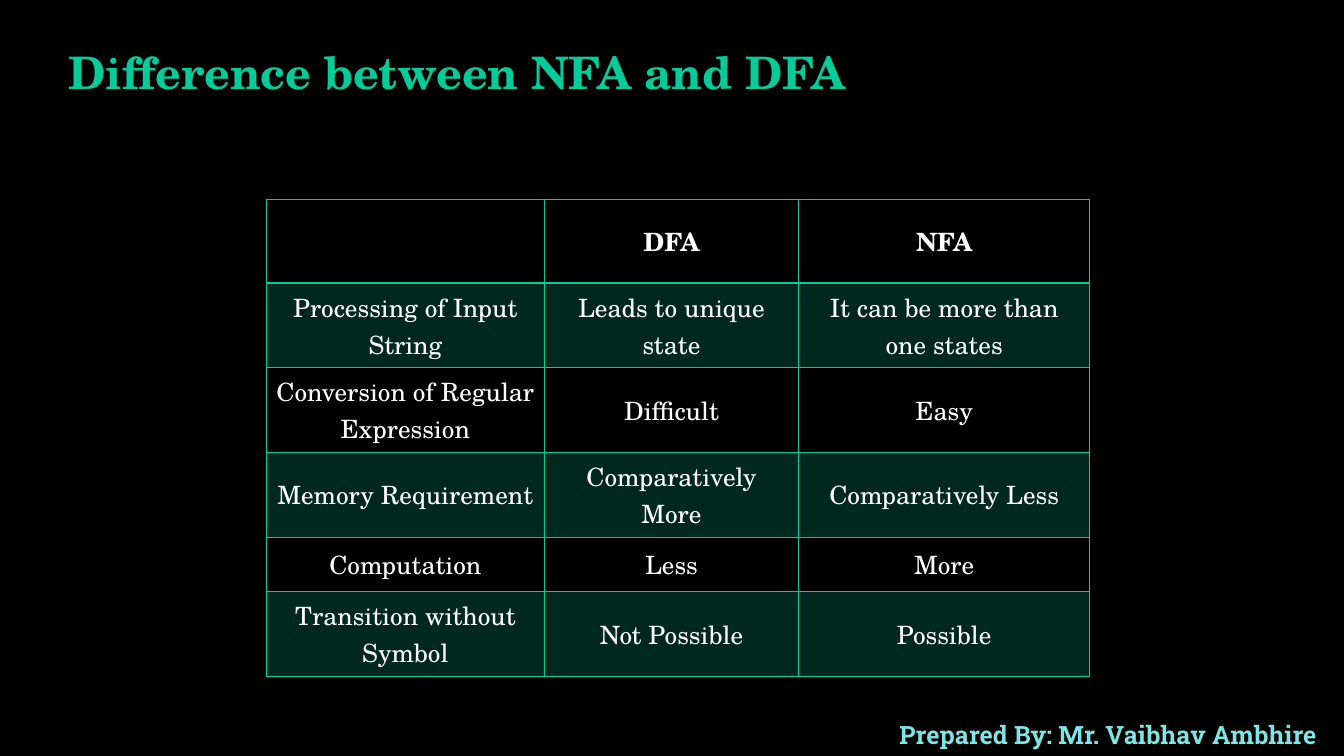
"""Build the slide that compares NFA and DFA in a table."""
from dataclasses import dataclass

from lxml.etree import SubElement
from pptx import Presentation
from pptx.dml.color import RGBColor
from pptx.enum.text import MSO_ANCHOR as Anchor, PP_ALIGN as Align
from pptx.oxml import parse_xml
from pptx.oxml.ns import nsdecls, qn
from pptx.util import Inches, Pt


@dataclass(frozen=True)
class Theme:
    """Colours, fonts and sizes of the slide."""
    background: str = "000000"
    accent: str = "07CB98"
    text: str = "FFFFFF"
    credit: str = "82E3E3"
    serif: str = "TeX Gyre Schola"
    slab: str = "Roboto Slab"
    title_size: int = 32
    body_size: int = 18
    band_opacity: int = 20
    thin_line: int = 1
    thick_line: int = 2


THEME = Theme()
COLUMN_WIDTHS = (2.76, 2.52, 2.89)
ROW_HEIGHTS = (0.83, 0.84, 0.84, 0.84, 0.54, 0.84)
COMPARISON = (
    ("", "DFA", "NFA"),
    ("Processing of Input String", "Leads to unique state", "It can be more than one states"),
    ("Conversion of Regular Expression", "Difficult", "Easy"),
    ("Memory Requirement", "Comparatively More", "Comparatively Less"),
    ("Computation", "Less", "More"),
    ("Transition without Symbol", "Not Possible", "Possible"),
)


def write(frame, text, font, size, color, bold, align):
    """Set the text of a frame and format it."""
    frame.text = text
    paragraph = frame.paragraphs[0]
    paragraph.alignment = align
    for run in paragraph.runs:
        run.font.name = font
        run.font.size = Pt(size)
        run.font.bold = bold
        run.font.color.rgb = RGBColor.from_string(color)


def add_title(slide, text):
    """Fill the title placeholder."""
    title = slide.shapes.title
    title.left, title.top = Inches(0.58), Inches(0.25)
    title.width, title.height = Inches(10.57), Inches(0.78)
    frame = title.text_frame
    frame.vertical_anchor = Anchor.BOTTOM
    write(frame, text, THEME.serif, THEME.title_size, THEME.accent, True, Align.LEFT)
    frame.paragraphs[0].line_spacing = 0.9


def add_credit(slide, text):
    """Add the author line at the bottom right."""
    credit = slide.shapes.add_textbox(Inches(8.64), Inches(7.09), Inches(4.7), Inches(0.4))
    credit.text_frame.word_wrap = True
    write(credit.text_frame, text, THEME.slab, THEME.body_size, THEME.credit, True, Align.CENTER)


def set_borders(cell, top, bottom):
    """Draw the four borders of a cell with the given top and bottom widths."""
    widths = {"lnL": THEME.thin_line, "lnR": THEME.thin_line, "lnT": top, "lnB": bottom}
    properties = cell._tc.get_or_add_tcPr()
    for position, (side, width) in enumerate(widths.items()):
        properties.insert(position, parse_xml(
            f'<a:{side} {nsdecls("a")} w="{Pt(width)}"><a:solidFill>'
            f'<a:srgbClr val="{THEME.accent}"/></a:solidFill></a:{side}>'))


def set_band(cell, banded):
    """Tint a banded cell and leave any other cell clear."""
    if not banded:
        cell.fill.background()
        return
    cell.fill.solid()
    cell.fill.fore_color.rgb = RGBColor.from_string(THEME.accent)
    tint = cell._tc.tcPr.find(qn("a:solidFill")).find(qn("a:srgbClr"))
    SubElement(tint, qn("a:alpha"), val=str(THEME.band_opacity * 1000))


def add_comparison(slide, rows):
    """Add the comparison table."""
    table = slide.shapes.add_table(
        len(rows), len(COLUMN_WIDTHS), Inches(2.64), Inches(1.98),
        Inches(sum(COLUMN_WIDTHS)), Inches(sum(ROW_HEIGHTS))).table
    table.first_row = True
    table.horz_banding = False
    for column, width in zip(table.columns, COLUMN_WIDTHS):
        column.width = Inches(width)
    for row, height in zip(table.rows, ROW_HEIGHTS):
        row.height = Inches(height)
    for row_index, texts in enumerate(rows):
        is_header = row_index == 0
        top = THEME.thick_line if row_index == 1 else THEME.thin_line
        bottom = THEME.thick_line if is_header else THEME.thin_line
        for column_index, text in enumerate(texts):
            cell = table.cell(row_index, column_index)
            cell.vertical_anchor = Anchor.MIDDLE
            write(cell.text_frame, text, THEME.serif, THEME.body_size,
                  THEME.text, is_header, Align.CENTER)
            set_band(cell, row_index % 2 == 1)
            set_borders(cell, top, bottom)


def main():
    """Build and save the slide."""
    deck = Presentation()
    deck.slide_width, deck.slide_height = Inches(13.33), Inches(7.5)
    slide = deck.slides.add_slide(deck.slide_layouts.get_by_name("Title Only"))
    slide.background.fill.solid()
    slide.background.fill.fore_color.rgb = RGBColor.from_string(THEME.background)
    add_credit(slide, "Prepared By: Mr. Vaibhav Ambhire")
    add_title(slide, "Difference between NFA and DFA")
    add_comparison(slide, COMPARISON)
    deck.save("out.pptx")


if __name__ == "__main__":
    main()
